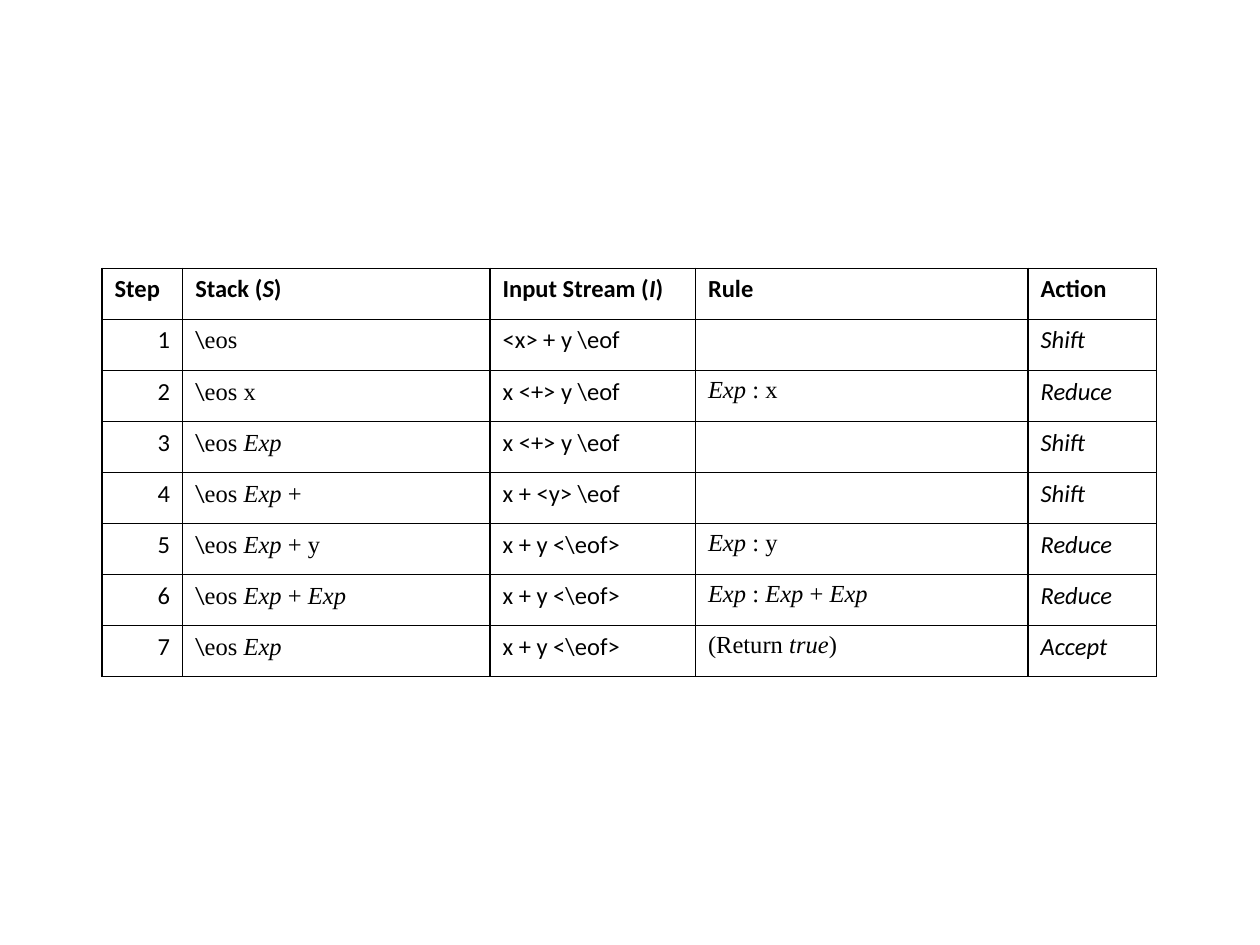
"""Build a slide with the step table of a shift-reduce parse."""
import dataclasses
import typing

import lxml.etree
import pptx
import pptx.dml.color
import pptx.enum.text
import pptx.oxml.ns
import pptx.util


@dataclasses.dataclass(frozen=True)
class Theme:
    sans: str = "Calibri"
    serif: str = "Times New Roman"
    ink: str = "000000"
    text_size: float = 14
    border_width: float = 1


class ParseStep(typing.NamedTuple):
    stack: str
    stream: str
    rule: str
    action: str


THEME = Theme()
ITALIC_MARK = "*"
HEADERS = ("Step", "Stack (*S*)", "Input Stream (*I*)", "Rule", "Action")
COLUMN_WIDTHS = (0.64, 2.44, 1.63, 2.64, 1.02)
STEPS = (
    ParseStep("eos", "<x> + y \\eof", "", "Shift"),
    ParseStep("eos x", "x <+> y \\eof", "*Exp *: x", "Reduce"),
    ParseStep("eos* Exp*", "x <+> y \\eof", "", "Shift"),
    ParseStep("eos* Exp* +", "x + <y> \\eof", "", "Shift"),
    ParseStep("eos* Exp* + y", "x + y <\\eof>", "*Exp *: y", "Reduce"),
    ParseStep("eos* Exp* + *Exp*", "x + y <\\eof>", "*Exp *: *Exp *+ *Exp*", "Reduce"),
    ParseStep("eos* Exp*", "x + y <\\eof>", "(Return *true*)", "Accept"),
)


def write(cell, marked_text: str, font_name: str = THEME.sans, bold: bool = False) -> None:
    paragraph = cell.text_frame.paragraphs[0]
    for index, piece in enumerate(marked_text.split(ITALIC_MARK)):
        if not piece:
            continue
        run = paragraph.add_run()
        run.text = piece
        run.font.name = font_name
        run.font.size = pptx.util.Pt(THEME.text_size)
        run.font.bold = bold
        run.font.italic = index % 2 == 1
        run.font.color.rgb = pptx.dml.color.RGBColor.from_string(THEME.ink)


def outline(cell) -> None:
    qualified = pptx.oxml.ns.qn
    properties = cell._tc.get_or_add_tcPr()
    for side in ("lnL", "lnR", "lnT", "lnB"):
        line = lxml.etree.SubElement(
            properties, qualified(f"a:{side}"), w=str(pptx.util.Pt(THEME.border_width))
        )
        fill = lxml.etree.SubElement(line, qualified("a:solidFill"))
        lxml.etree.SubElement(fill, qualified("a:srgbClr"), val=THEME.ink)
    cell.fill.background()


def fill_step(table, number: int, step: ParseStep) -> None:
    number_cell, stack, stream, rule, action = table.rows[number].cells
    write(number_cell, str(number))
    number_cell.text_frame.paragraphs[0].alignment = pptx.enum.text.PP_ALIGN.RIGHT
    write(stack, "\\")
    write(stack, step.stack, THEME.serif)
    write(stream, step.stream)
    write(rule, step.rule, THEME.serif)
    write(action, f"{ITALIC_MARK}{step.action}{ITALIC_MARK}")


def main() -> None:
    inches = pptx.util.Inches
    presentation = pptx.Presentation()
    presentation.slide_width = inches(10)
    presentation.slide_height = inches(7.5)
    slide = presentation.slides.add_slide(presentation.slide_layouts[6])
    table = slide.shapes.add_table(
        len(STEPS) + 1, len(HEADERS),
        inches(0.81), inches(2.13), inches(sum(COLUMN_WIDTHS)), inches(3.24),
    ).table
    table.first_row = False
    table.horz_banding = False
    for column, width in zip(table.columns, COLUMN_WIDTHS):
        column.width = inches(width)
    for cell in table.iter_cells():
        outline(cell)
    for cell, header in zip(table.rows[0].cells, HEADERS):
        write(cell, header, bold=True)
    for number, step in enumerate(STEPS, start=1):
        fill_step(table, number, step)
    presentation.save("out.pptx")


if __name__ == "__main__":
    main()
